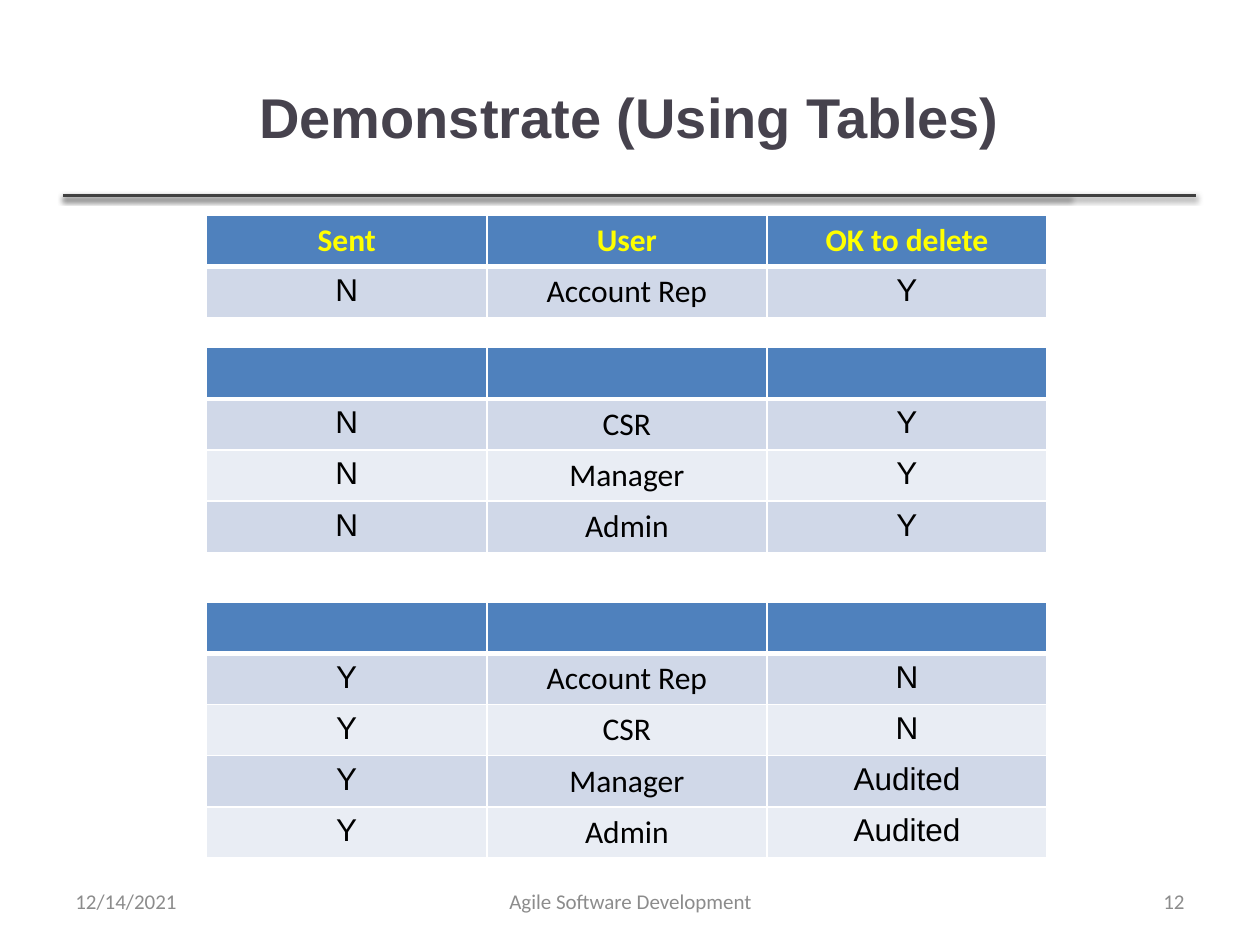
"""Build the slide that demonstrates deletion rules with three example tables."""
from dataclasses import dataclass

from lxml.etree import SubElement
from pptx import Presentation
from pptx.dml.color import RGBColor
from pptx.enum.shapes import MSO_CONNECTOR as Connector
from pptx.enum.text import MSO_ANCHOR as Anchor, PP_ALIGN as Align
from pptx.oxml.ns import qn
from pptx.slide import Slide
from pptx.table import _Cell as Cell
from pptx.text.text import _Paragraph as Para
from pptx.util import Inches, Pt


@dataclass(frozen=True)
class Theme:
    heading_font: str = "Arial"
    body_font: str = "Calibri"
    title_size: int = 32
    table_size: int = 18
    footer_size: int = 12
    title: str = "46424D"
    footer: str = "8C8C8C"
    rule: str = "404040"
    header_fill: str = "4F81BD"
    header_text: str = "FFFF00"
    bands: tuple[str, str] = ("D0D8E8", "E9EDF4")
    body_text: str = "000000"
    border: str = "FFFFFF"


@dataclass(frozen=True)
class Style:
    font: str
    size: int
    color: str
    bold: bool = False


@dataclass(frozen=True)
class Label:
    text: str
    left: float
    top: float
    width: float
    height: float
    align: Align
    style: Style


@dataclass(frozen=True)
class RuleTable:
    top: float
    header: tuple[str, str, str]
    rows: tuple[tuple[str, str, str], ...]


THEME = Theme()
TITLE = Style(THEME.heading_font, THEME.title_size, THEME.title, True)
FOOTER = Style(THEME.body_font, THEME.footer_size, THEME.footer)
HEADER = Style(THEME.body_font, THEME.table_size, THEME.header_text, True)
FLAG = Style(THEME.heading_font, THEME.table_size, THEME.body_text)
USER = Style(THEME.body_font, THEME.table_size, THEME.body_text)
BODY_STYLES = (FLAG, USER, FLAG)

TABLE_LEFT, TABLE_WIDTH, ROW_HEIGHT = 1.64, 6.67, 0.406
RULE_LEFT, RULE_TOP, RULE_ENDS = 0.5, 1.55, (8.49, 9.49)
NO_HEADER = ("", "", "")

LABELS = (
    Label("Demonstrate (Using Tables)", 0.5, 0.3, 8.99, 1.25, Align.CENTER, TITLE),
    Label("12/14/2021", 0.5, 6.95, 2.33, 0.4, Align.LEFT, FOOTER),
    Label("Agile Software Development", 3.42, 6.95, 3.17, 0.4, Align.CENTER, FOOTER),
    Label("12", 7.17, 6.95, 2.33, 0.4, Align.RIGHT, FOOTER),
)
TABLES = (
    RuleTable(1.71, ("Sent", "User", "OK to delete"), (("N", "Account Rep", "Y"),)),
    RuleTable(2.76, NO_HEADER, (
        ("N", "CSR", "Y"),
        ("N", "Manager", "Y"),
        ("N", "Admin", "Y"),
    )),
    RuleTable(4.78, NO_HEADER, (
        ("Y", "Account Rep", "N"),
        ("Y", "CSR", "N"),
        ("Y", "Manager", "Audited"),
        ("Y", "Admin", "Audited"),
    )),
)


def write(para: Para, text: str, style: Style, align: Align) -> None:
    """Put one styled run into a paragraph."""
    para.alignment = align
    para.font.size = Pt(style.size)
    if text:
        span = para.add_run()
        span.text = text
        span.font.name = style.font
        span.font.size = Pt(style.size)
        span.font.bold = style.bold
        span.font.color.rgb = RGBColor.from_string(style.color)


def draw_rule(page: Slide, end: float) -> None:
    """Draw a shadowed horizontal line below the title."""
    rule = page.shapes.add_connector(
        Connector.STRAIGHT, Inches(RULE_LEFT), Inches(RULE_TOP), Inches(end), Inches(RULE_TOP)
    )
    rule.line.color.rgb = RGBColor.from_string(THEME.rule)
    rule.line.width = Pt(2)
    effects = SubElement(rule._element.spPr, qn("a:effectLst"))
    shadow = SubElement(effects, qn("a:outerShdw"), blurRad="40000", dist="20000",
                        dir="5400000", rotWithShape="0")
    color = SubElement(shadow, qn("a:srgbClr"), val="000000")
    SubElement(color, qn("a:alpha"), val="38000")


def draw_label(page: Slide, label: Label) -> None:
    """Draw a vertically centred text box."""
    box = page.shapes.add_textbox(
        Inches(label.left), Inches(label.top), Inches(label.width), Inches(label.height)
    )
    frame = box.text_frame
    frame.word_wrap = True
    frame.vertical_anchor = Anchor.MIDDLE
    write(frame.paragraphs[0], label.text, label.style, label.align)


def add_borders(cell: Cell, top: int, bottom: int) -> None:
    """Give a cell white borders, with its own top and bottom widths."""
    properties = cell._tc.get_or_add_tcPr()
    for side, width in (("L", 1), ("R", 1), ("T", top), ("B", bottom)):
        line = SubElement(properties, qn(f"a:ln{side}"), w=str(Pt(width)))
        fill = SubElement(line, qn("a:solidFill"))
        SubElement(fill, qn("a:srgbClr"), val=THEME.border)


def draw_table(page: Slide, content: RuleTable) -> None:
    """Draw a table with a header row and banded body rows."""
    rows = (content.header, *content.rows)
    table = page.shapes.add_table(
        len(rows), len(content.header), Inches(TABLE_LEFT), Inches(content.top),
        Inches(TABLE_WIDTH), Inches(ROW_HEIGHT * len(rows)),
    ).table
    for row, texts in enumerate(rows):
        is_header = row == 0
        fill = THEME.header_fill if is_header else THEME.bands[(row - 1) % 2]
        for column, text in enumerate(texts):
            cell = table.cell(row, column)
            add_borders(cell, top=3 if row == 1 else 1, bottom=3 if is_header else 1)
            cell.fill.solid()
            cell.fill.fore_color.rgb = RGBColor.from_string(fill)
            style = HEADER if is_header else BODY_STYLES[column]
            write(cell.text_frame.paragraphs[0], text, style, Align.CENTER)


def main() -> None:
    """Build and save the deck."""
    deck = Presentation()
    deck.slide_width, deck.slide_height = Inches(10), Inches(7.5)
    page = deck.slides.add_slide(deck.slide_layouts[6])
    for end in RULE_ENDS:
        draw_rule(page, end)
    for label in LABELS:
        draw_label(page, label)
    for content in TABLES:
        draw_table(page, content)
    deck.save("out.pptx")


if __name__ == "__main__":
    main()
